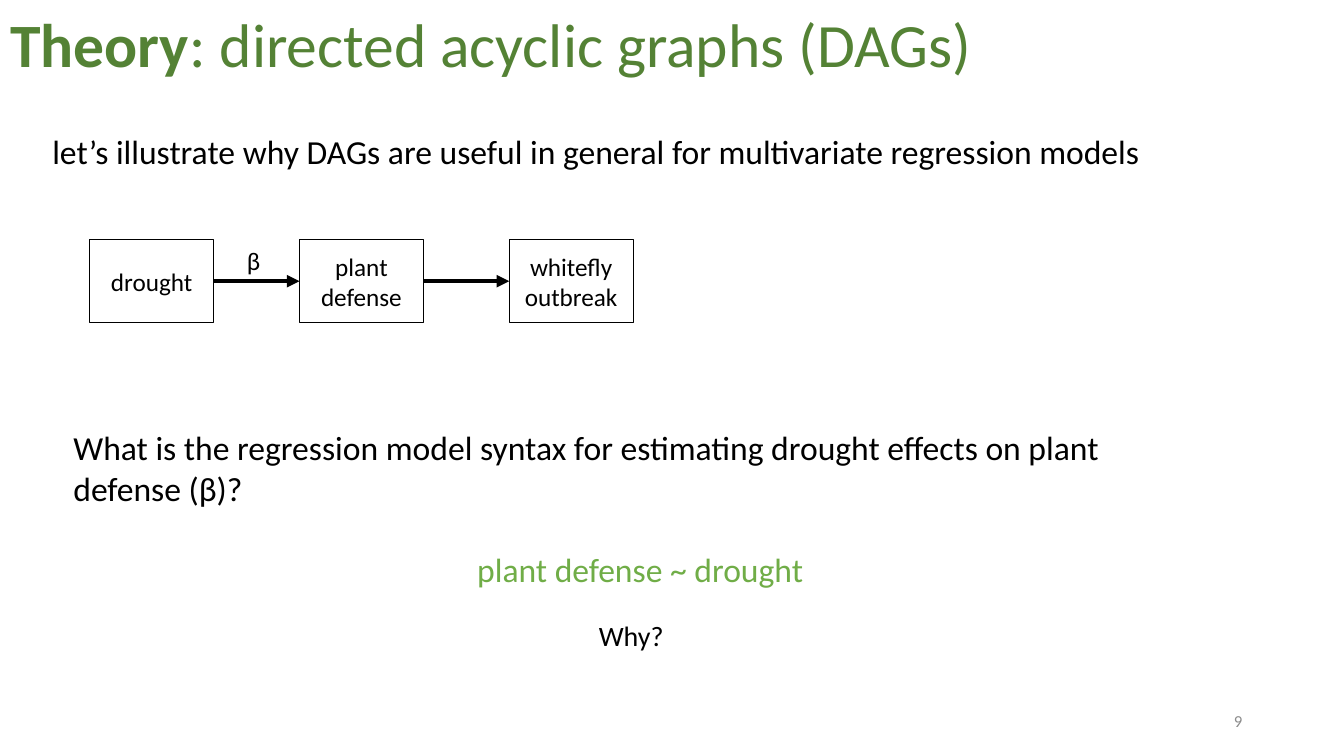
from lxml import etree
from pptx import Presentation
from pptx.dml.color import RGBColor
from pptx.enum.shapes import MSO_CONNECTOR, MSO_SHAPE
from pptx.enum.text import MSO_ANCHOR, PP_ALIGN
from pptx.oxml.ns import qn
from pptx.util import Inches, Pt

COLORS = {"title": "548235", "text": "000000", "answer": "70AD47", "number": "8C8C8C"}


def style(paragraph, size, color="text", align=PP_ALIGN.LEFT):
    paragraph.alignment = align
    paragraph.font.name = "Calibri"
    paragraph.font.size = Pt(size)
    paragraph.font.color.rgb = RGBColor.from_string(COLORS[color])


def add_text(left, top, width, height, text, size, color="text", align=PP_ALIGN.LEFT):
    box = slide.shapes.add_textbox(Inches(left), Inches(top), Inches(width), Inches(height))
    frame = box.text_frame
    frame.word_wrap = True
    frame.text = text
    style(frame.paragraphs[0], size, color, align)
    return frame


presentation = Presentation()
presentation.slide_width = Inches(13.33)
presentation.slide_height = Inches(7.5)
slide = presentation.slides.add_slide(presentation.slide_layouts[5])

# Title
title = slide.shapes.title
title.left, title.top = Inches(0), Inches(0.02)
title.width, title.height = Inches(13.33), Inches(0.9)
title.text_frame.vertical_anchor = MSO_ANCHOR.MIDDLE
paragraph = title.text_frame.paragraphs[0]
for text, bold in [("Theory", True), (": directed acyclic graphs (DAGs)", False)]:
    run = paragraph.add_run()
    run.text = text
    run.font.bold = bold
style(paragraph, 44, "title")
paragraph.line_spacing = 0.9

# Slide number
number = add_text(9.42, 6.95, 3, 0.4, "9", 12, "number", PP_ALIGN.RIGHT)
number.vertical_anchor = MSO_ANCHOR.MIDDLE

# Causal chain: boxes at an equal pitch
BOX_LEFT, BOX_TOP, BOX_WIDTH, BOX_HEIGHT, PITCH = 0.89, 2.38, 1.23, 0.82, 2.08
nodes = []
for index, label in enumerate(["drought", "plant defense", "whitefly outbreak"]):
    node = slide.shapes.add_shape(
        MSO_SHAPE.RECTANGLE, Inches(BOX_LEFT + index * PITCH), Inches(BOX_TOP),
        Inches(BOX_WIDTH), Inches(BOX_HEIGHT))
    node.shadow.inherit = False
    node.fill.background()
    node.line.color.rgb = RGBColor.from_string(COLORS["text"])
    node.line.width = Pt(0.75)
    node.text_frame.word_wrap = True
    node.text_frame.vertical_anchor = MSO_ANCHOR.MIDDLE
    node.text_frame.text = label
    style(node.text_frame.paragraphs[0], 18, align=PP_ALIGN.CENTER)
    nodes.append(node)

# Arrows from each box's right side to the next box's left side
for source, target in zip(nodes, nodes[1:]):
    arrow = slide.shapes.add_connector(MSO_CONNECTOR.STRAIGHT, 0, 0, 0, 0)
    arrow.begin_connect(source, 3)
    arrow.end_connect(target, 1)
    arrow.line.color.rgb = RGBColor.from_string(COLORS["text"])
    arrow.line.width = Pt(3)
    etree.SubElement(arrow.line._get_or_add_ln(), qn("a:tailEnd"), type="triangle")
    etree.SubElement(arrow._element.spPr, qn("a:effectLst"))

# Introduction, question and answer
add_text(0.42, 1.25, 11.91, 0.5,
         "let’s illustrate why DAGs are useful in general for multivariate regression models", 24)
question = add_text(
    0.63, 4.19, 11.44, 2.12,
    "What is the regression model syntax for estimating drought effects on plant defense (β)?", 24)
answer = question.add_paragraph()
answer.text = "plant defense ~ drought"
style(answer, 24, "answer", PP_ALIGN.CENTER)
answer.space_before = Pt(29)

# Path coefficient and follow-up
add_text(2.35, 2.38, 0.38, 0.4, "β", 18)
follow_up = add_text(5.84, 6.09, 0.85, 0.44, "Why?", 20)
follow_up.word_wrap = False

presentation.save("out.pptx")
